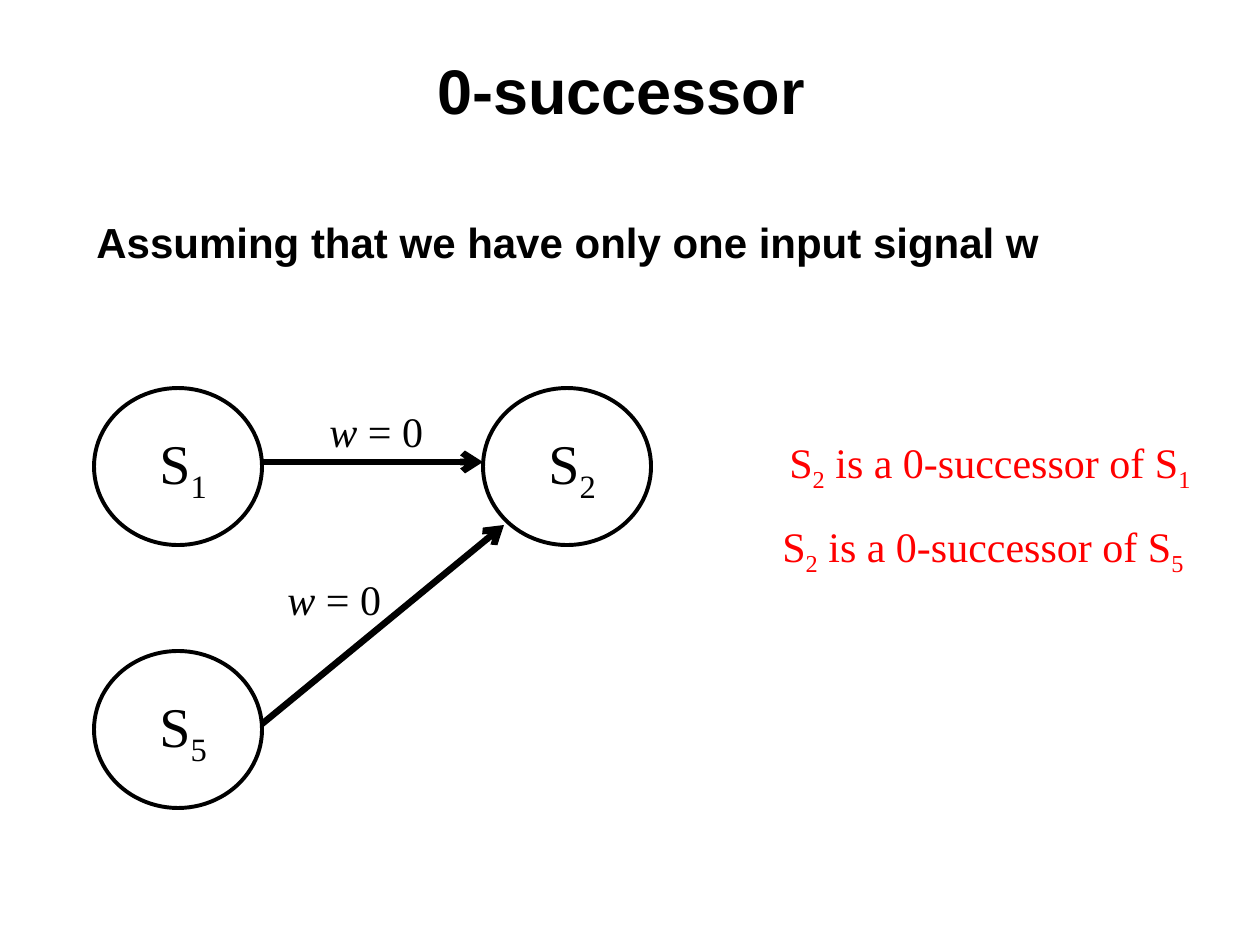
from lxml.etree import SubElement
from pptx import Presentation
from pptx.dml.color import RGBColor
from pptx.enum.shapes import MSO_CONNECTOR, MSO_SHAPE
from pptx.enum.text import MSO_ANCHOR, PP_ALIGN
from pptx.oxml.ns import qn
from pptx.util import Emu, Pt

PX_PER_INCH = 126
BLACK, WHITE, RED = "000000", "FFFFFF", "FF0000"
SANS, SERIF = "Arial", "Times New Roman"
STATE_WIDTH, STATE_HEIGHT = 168, 157


def px(length):
    return Emu(round(length * 914400 / PX_PER_INCH))


def color(hex_string):
    return RGBColor.from_string(hex_string)


def add_runs(paragraph, runs, size, font=SERIF, ink=BLACK):
    """Each run is (text, style), style being "", "bold", "italic" or "sub"."""
    for text, style in runs:
        run = paragraph.add_run()
        run.text = text
        run.font.name = font
        run.font.size = Pt(size)
        run.font.color.rgb = color(ink)
        run.font.bold = style == "bold"
        run.font.italic = style == "italic"
        if style == "sub":
            run._r.get_or_add_rPr().set("baseline", "-25000")


def add_text(slide, box, runs, size, font=SERIF, ink=BLACK,
             align=PP_ALIGN.LEFT, anchor=MSO_ANCHOR.TOP):
    frame = slide.shapes.add_textbox(*map(px, box)).text_frame
    frame.word_wrap = True
    frame.vertical_anchor = anchor
    frame.paragraphs[0].alignment = align
    add_runs(frame.paragraphs[0], runs, size, font, ink)


def state_symbol(number):
    return [("S", ""), (number, "sub")]


def add_state(slide, left, top, number):
    state = slide.shapes.add_shape(
        MSO_SHAPE.OVAL, *map(px, (left, top, STATE_WIDTH, STATE_HEIGHT)))
    state.shadow.inherit = False
    state.fill.solid()
    state.fill.fore_color.rgb = color(WHITE)
    state.line.color.rgb = color(BLACK)
    state.line.width = Pt(2.25)
    frame = state.text_frame
    frame.margin_left = px(10)
    frame.margin_right = frame.margin_top = frame.margin_bottom = 0
    frame.vertical_anchor = MSO_ANCHOR.MIDDLE
    frame.paragraphs[0].alignment = PP_ALIGN.CENTER
    add_runs(frame.paragraphs[0], state_symbol(number), 32)


def add_transition(slide, start, end):
    arrow = slide.shapes.add_connector(
        MSO_CONNECTOR.STRAIGHT, *map(px, start + end))
    arrow.line.color.rgb = color(BLACK)
    arrow.line.width = Pt(3.75)
    SubElement(arrow.line._get_or_add_ln(), qn("a:tailEnd"), type="arrow")
    SubElement(arrow._element.spPr, qn("a:effectLst"))


def add_input_label(slide, left, top):
    add_text(slide, (left, top, 130, 63), [("w", "italic"), (" = 0", "")], 24)


def add_successor_note(slide, left, top, successor, state):
    runs = (state_symbol(successor) + [(" is a 0-successor of ", "")]
            + state_symbol(state))
    add_text(slide, (left, top, 440, 70), runs, 24, ink=RED)


def main():
    presentation = Presentation()
    presentation.slide_width, presentation.slide_height = px(1260), px(945)
    slide = presentation.slides.add_slide(presentation.slide_layouts[6])

    # Heading and assumption
    add_text(slide, (0, 42, 1260, 94), [("0-successor ", "bold")], 36, SANS,
             align=PP_ALIGN.CENTER, anchor=MSO_ANCHOR.MIDDLE)
    add_text(slide, (84, 210, 1092, 84),
             [("Assuming that we have only one input signal w", "bold")],
             24, SANS)

    # State diagram
    for left, top, number in ((94, 388, "1"), (483, 388, "2"), (94, 651, "5")):
        add_state(slide, left, top, number)
    add_transition(slide, (262, 462), (483, 462))
    add_transition(slide, (262, 724), (504, 525))
    add_input_label(slide, 317, 399)
    add_input_label(slide, 275, 567)

    # Conclusions
    add_successor_note(slide, 777, 430, "2", "1")
    add_successor_note(slide, 770, 514, "2", "5")

    presentation.save("out.pptx")


if __name__ == "__main__":
    main()
